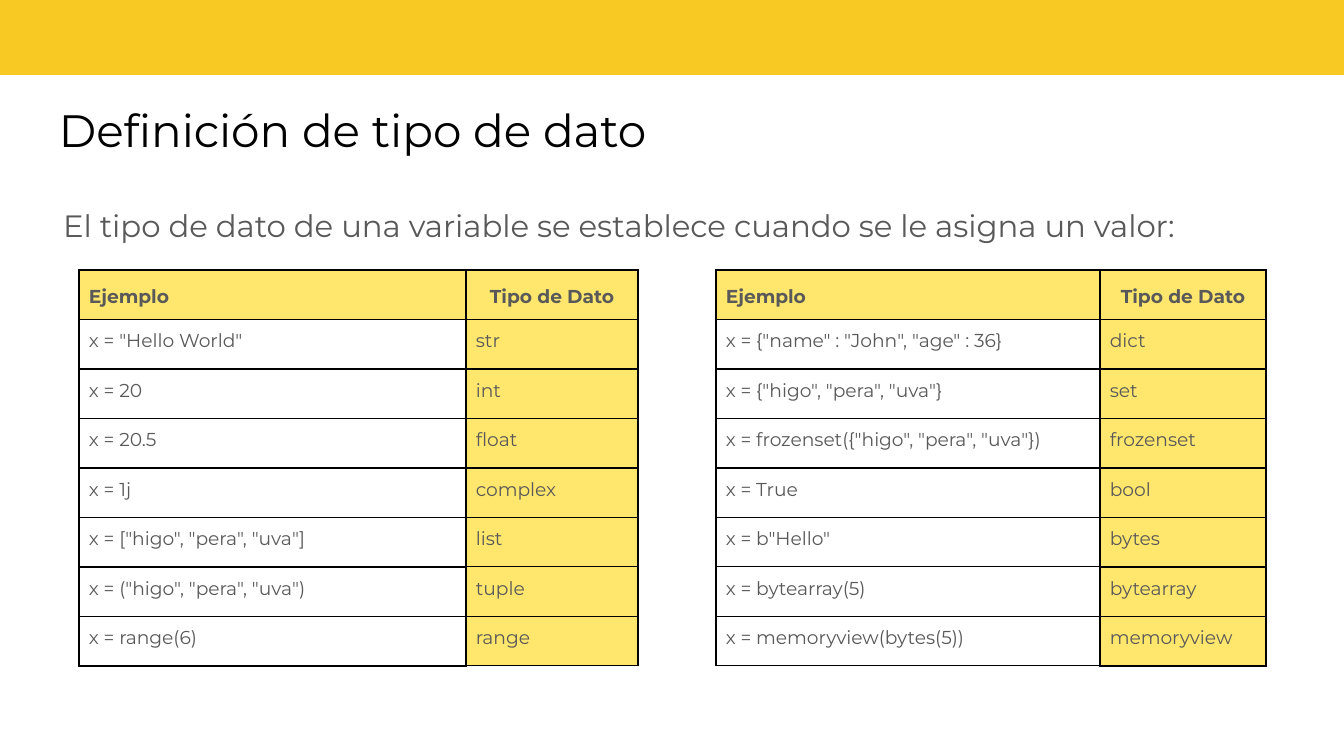
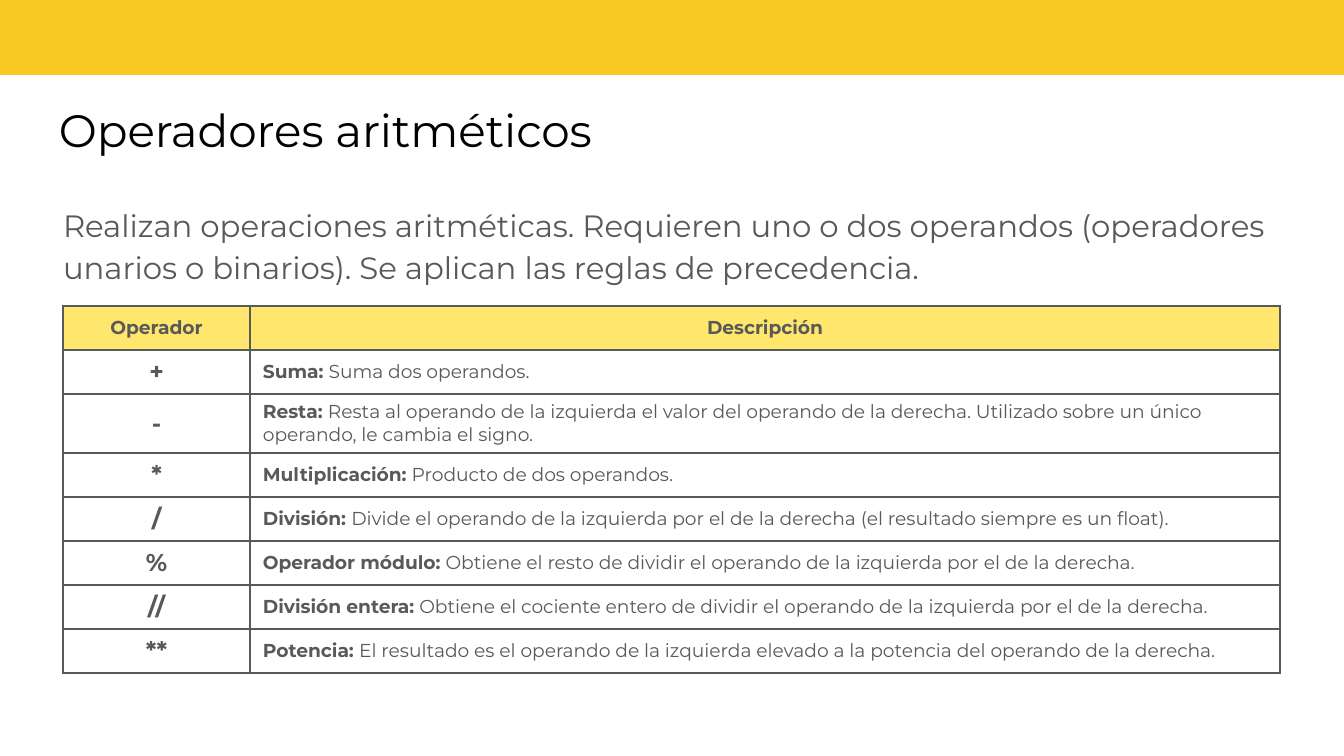
from dataclasses import dataclass

from lxml import etree
from pptx import Presentation
from pptx import util as u
from pptx.dml import color
from pptx.enum import shapes, text
from pptx.oxml import ns

SCALE = 914400 / 134.4
PLAIN = "{2D5ABB26-0587-4C30-8999-92F81FD0307C}"


@dataclass(frozen=True)
class Theme:
    font: str = "Montserrat"
    band: str = "F8C823"
    pale: str = "FFE66D"
    ink: str = "000000"
    gray: str = "595959"
    title: float = 24.3
    lead: float = 16.5
    cell: float = 10
    sign: float = 13
    thin: float = 0.75
    thick: float = 0.96


T = Theme()
MID = text.MSO_ANCHOR.MIDDLE
TOP = text.MSO_ANCHOR.TOP
LEFT = text.PP_ALIGN.LEFT
CENTER = text.PP_ALIGN.CENTER

HEAD = (46, 87, 1250, 85)
LEAD = (63, 188, 1216, 101)

TYPES = (
    ('x = "Hello World"', "str", 'x = {"name" : "John", "age" : 36}', "dict"),
    ("x = 20", "int", 'x = {"higo", "pera", "uva"}', "set"),
    ("x = 20.5", "float", 'x = frozenset({"higo", "pera", "uva"})', "frozenset"),
    ("x = 1j", "complex", "x = True", "bool"),
    ('x = ["higo", "pera", "uva"]', "list", 'x = b"Hello"', "bytes"),
    ('x = ("higo", "pera", "uva")', "tuple", "x = bytearray(5)", "bytearray"),
    ("x = range(6)", "range", "x = memoryview(bytes(5))", "memoryview"),
)

SIGNS = (
    ("+", "Suma:", "Suma dos operandos."),
    ("-", "Resta:", "Resta al operando de la izquierda el valor del operando de la "
     "derecha. Utilizado sobre un único operando, le cambia el signo."),
    ("*", "Multiplicación:", "Producto de dos operandos."),
    ("/", "División:", "Divide el operando de la izquierda por el de la derecha "
     "(el resultado siempre es un float)."),
    ("%", "Operador módulo:", "Obtiene el resto de dividir el operando de la "
     "izquierda por el de la derecha."),
    ("//", "División entera:", "Obtiene el cociente entero de dividir el operando "
     "de la izquierda por el de la derecha."),
    ("**", "Potencia:", "El resultado es el operando de la izquierda elevado a la "
     "potencia del operando de la derecha."),
)


def px(num):
    return u.Emu(round(num * SCALE))


def rgb(code):
    return color.RGBColor.from_string(code)


def inset(part, side, top):
    part.margin_left = part.margin_right = px(side)
    part.margin_top = part.margin_bottom = px(top)


def write(para, words, size, tint, bold=False):
    run = para.add_run()
    run.text = words
    font = run.font
    font.name = T.font
    font.size = u.Pt(size)
    font.bold = bold
    font.color.rgb = rgb(tint)


def band(slide, box):
    bar = slide.shapes.add_shape(shapes.MSO_SHAPE.RECTANGLE, *map(px, box))
    bar.shadow.inherit = False
    bar.fill.solid()
    bar.fill.fore_color.rgb = rgb(T.band)
    bar.line.fill.background()
    slide.slide_layout.shapes.element.insert(2, bar.element)


def head(slide, box, words):
    title = slide.shapes.title
    title.left, title.top, title.width, title.height = map(px, box)
    frame = title.text_frame
    frame.auto_size = text.MSO_AUTO_SIZE.NONE
    frame.vertical_anchor = MID
    inset(frame, 13, 13)
    para = frame.paragraphs[0]
    para.alignment = LEFT
    write(para, words, T.title, T.ink)


def lead(slide, box, words):
    frame = slide.shapes.add_textbox(*map(px, box)).text_frame
    frame.word_wrap = True
    inset(frame, 0, 13)
    para = frame.paragraphs[0]
    para.line_spacing = 1.15
    write(para, words, T.lead, T.gray)


def grid(slide, box, cols, rows):
    left, top, wide, high = box
    frame = slide.shapes.add_table(
        len(rows), len(cols), px(left), px(top), px(wide), px(high))
    for mark in frame.element.iter(ns.qn("a:tableStyleId")):
        mark.text = PLAIN
    table = frame.table
    table.horz_banding = False
    for col, size in zip(table.columns, cols):
        col.width = px(size)
    for row, size in zip(table.rows, rows):
        row.height = px(size)
    return table


def edge(cell, tint, sides):
    props = cell._tc.get_or_add_tcPr()
    used = [(tag, size) for tag, size in zip("LRTB", sides) if size]
    for spot, (tag, size) in enumerate(used):
        line = etree.Element(ns.qn("a:ln" + tag), w=str(u.Pt(size)))
        fill = etree.SubElement(line, ns.qn("a:solidFill"))
        etree.SubElement(fill, ns.qn("a:srgbClr"), val=tint)
        props.insert(spot, line)


def style(cell, tinted, anchor, side, align, space=None):
    cell.vertical_anchor = anchor
    inset(cell, side, 7)
    if tinted:
        cell.fill.solid()
        cell.fill.fore_color.rgb = rgb(T.pale)
    else:
        cell.fill.background()
    para = cell.text_frame.paragraphs[0]
    para.alignment = align
    if space:
        para.line_spacing = space
    return para


def types(slide, box):
    cols = (387, 172, 78, 384, 166)
    names = ("Ejemplo", "Tipo de Dato") * 2
    rows = (names,) + TYPES
    table = grid(slide, box, cols, [box[3] / len(rows)] * len(rows))
    thin, thick = T.thin, T.thick
    lines = {0: (thick, thin, thick, thick), 2: (thin, thin, 0, 0),
             4: (thin, thick, thick, thick)}
    for i, row in enumerate(rows):
        top = i == 0
        for j, words in enumerate((*row[:2], None, *row[2:])):
            cell = table.cell(i, j)
            if words is None:
                cell.fill.background()
                inset(cell, 0, 0)
            else:
                kind = j in (1, 4)
                para = style(cell, top or kind, MID if top else TOP, 10,
                             CENTER if top and kind else LEFT, 1.15)
                write(para, words, T.cell, T.gray, top)
            edge(cell, T.ink, lines.get(j, (thin,) * 4))


def signs(slide, box):
    rows = [59 if sign == "-" else 44 for sign, _, _ in SIGNS]
    table = grid(slide, box, (187, 1030), [44] + rows)
    for j, words in enumerate(("Operador", "Descripción")):
        para = style(table.cell(0, j), True, MID, 13, CENTER)
        write(para, words, T.cell, T.gray, True)
    for i, (sign, name, words) in enumerate(SIGNS, 1):
        para = style(table.cell(i, 0), False, MID, 13, CENTER)
        write(para, sign, T.sign, T.gray, True)
        para = style(table.cell(i, 1), False, MID, 13, LEFT)
        write(para, name + " ", T.cell, T.gray, True)
        write(para, words, T.cell, T.gray)
    for cell in table.iter_cells():
        edge(cell, T.gray, (T.thick,) * 4)


def page(deck, title, intro):
    slide = deck.slides.add_slide(deck.slide_layouts[5])
    head(slide, HEAD, title)
    lead(slide, LEAD, intro)
    return slide


def main():
    deck = Presentation()
    deck.slide_width, deck.slide_height = px(1344), px(756)
    first = page(deck, "Definición de tipo de dato",
                 "El tipo de dato de una variable se establece cuando se le "
                 "asigna un valor:")
    band(first, (-1, -7, 1348, 82))
    types(first, (79, 270, 1187, 396))
    second = page(deck, "Operadores aritméticos",
                  "Realizan operaciones aritméticas. Requieren uno o dos operandos "
                  "(operadores unarios o binarios). Se aplican las reglas de "
                  "precedencia.")
    signs(second, (63, 306, 1217, 367))
    deck.save("out.pptx")


if __name__ == "__main__":
    main()
